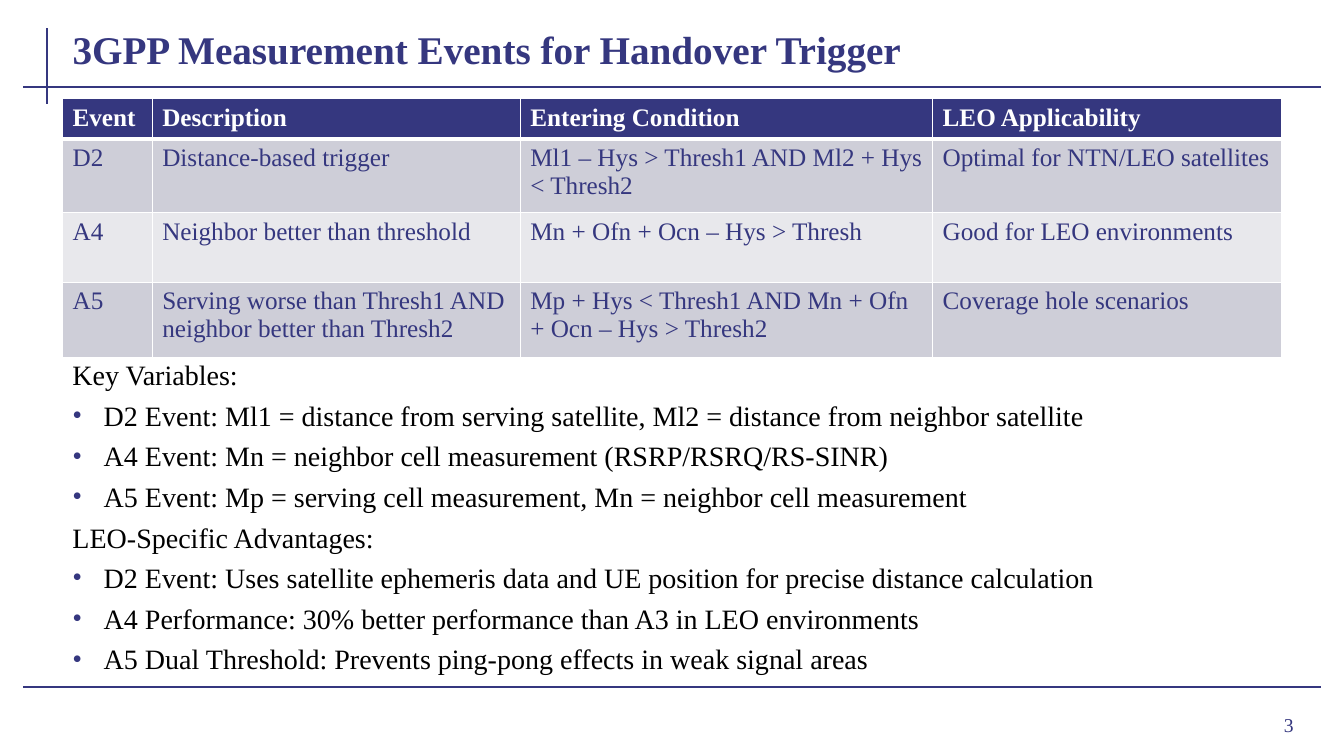
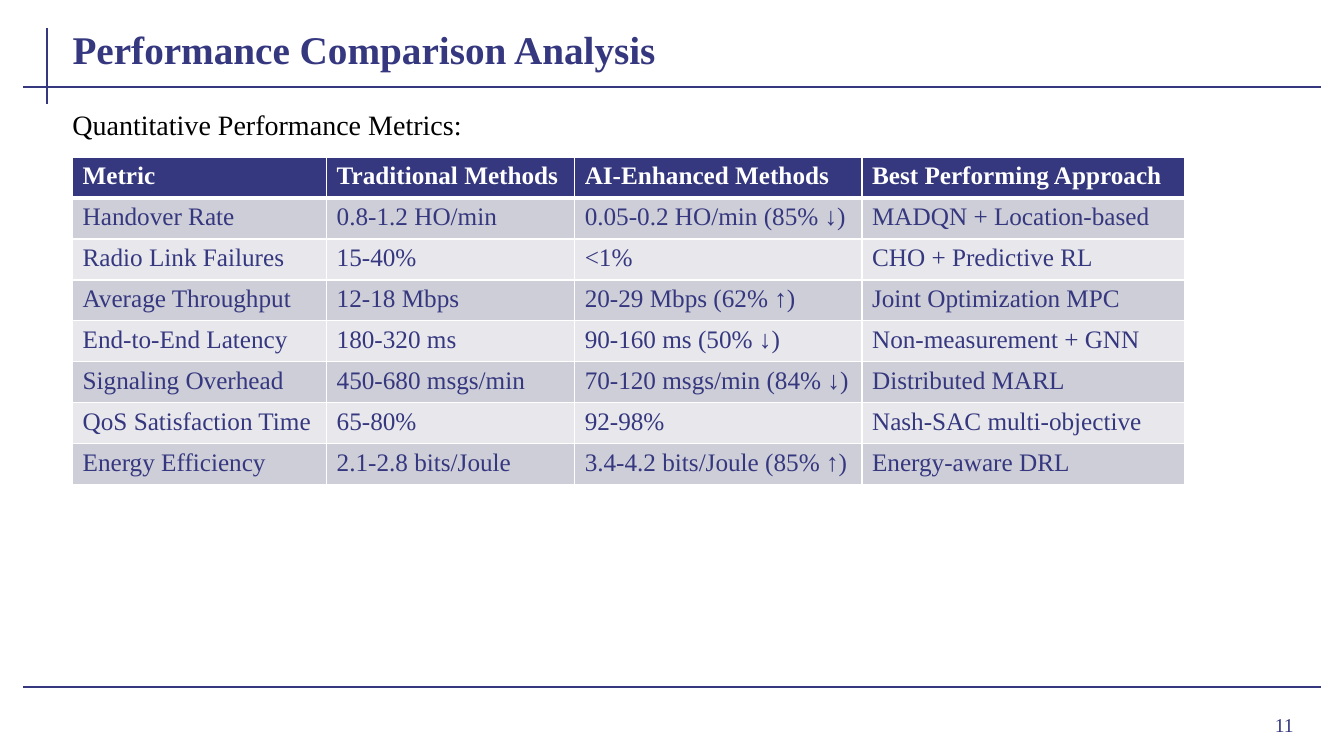
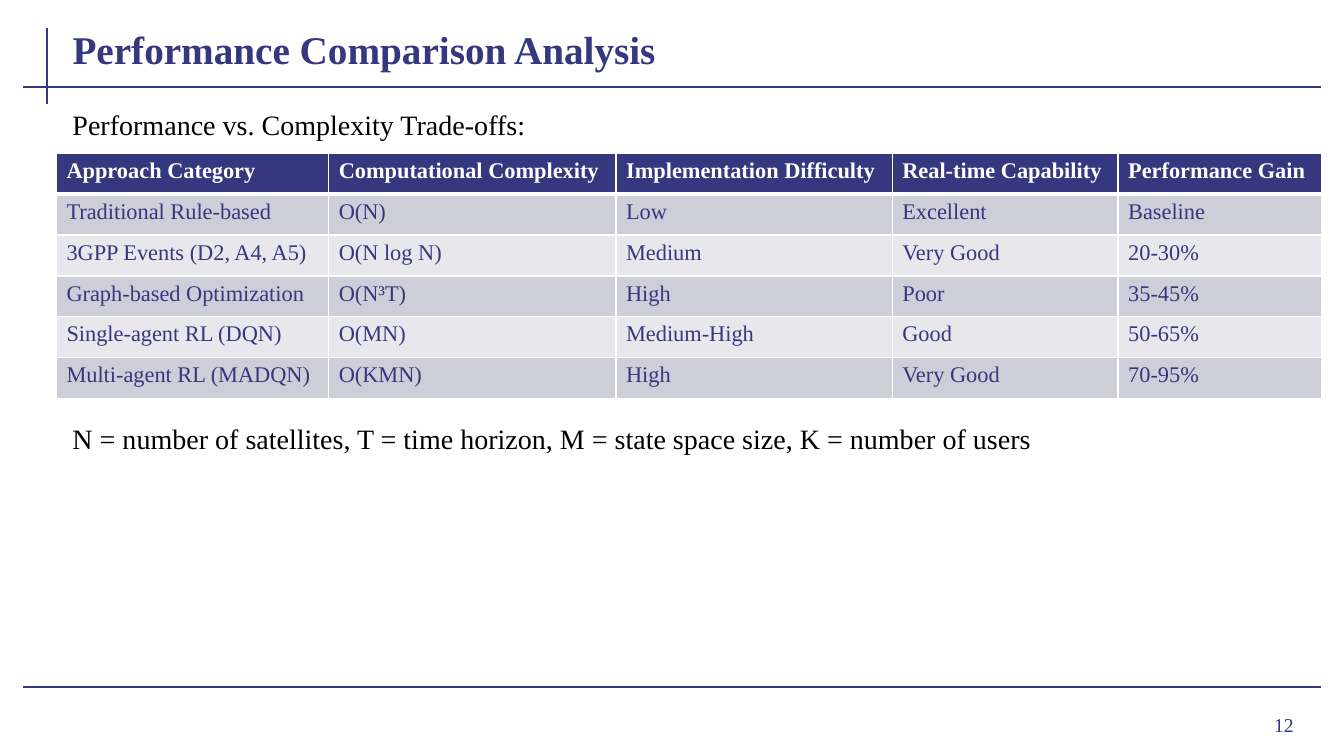
from pptx import Presentation
from pptx.dml.color import RGBColor
from pptx.enum.shapes import MSO_CONNECTOR as Connector
from pptx.enum.text import MSO_ANCHOR as Anchor, MSO_AUTO_SIZE as AutoSize, PP_ALIGN as Align
from pptx.oxml.ns import qn
from pptx.util import Inches, Pt
from lxml.etree import SubElement

FONT = "Times New Roman"
NAVY, WHITE, BLACK = "35377F", "FFFFFF", "000000"
BANDS = ("CECED8", "E8E8EC")
TITLE_ONLY = 5
LEFT, WIDTH = 6.2, 124.9


def color(hex_string):
    return RGBColor.from_string(hex_string)


def grid(units):
    """Turn grid columns or rows, ten to the inch, into a length."""
    return Inches(units / 10)


def add_border(cell, position, side, points):
    line = SubElement(cell._tc.get_or_add_tcPr(), qn(f"a:ln{side}"), w=str(Pt(points)))
    fill = SubElement(line, qn("a:solidFill"))
    SubElement(fill, qn("a:srgbClr"), val=WHITE)
    cell._tc.tcPr.insert(position, line)


def add_bullet(paragraph):
    properties = paragraph._p.get_or_add_pPr()
    properties.set("marL", str(Inches(0.31)))
    properties.set("indent", str(-Inches(0.31)))
    bullet_color = SubElement(properties, qn("a:buClr"))
    SubElement(bullet_color, qn("a:srgbClr"), val=NAVY)
    SubElement(properties, qn("a:buFont"), typeface=FONT)
    SubElement(properties, qn("a:buChar"), char="•")


class Deck:
    def __init__(self):
        self.presentation = Presentation()
        self.presentation.slide_width = Inches(13.33)
        self.presentation.slide_height = Inches(7.5)
        self.slide = None

    def style(self, paragraph, size, hex_string, bold=False):
        font = paragraph.font
        font.name, font.size, font.bold = FONT, Pt(size), bold
        font.color.rgb = color(hex_string)

    def start(self, title, number):
        """Add a slide with its title, rules and page number."""
        layout = self.presentation.slide_layouts[TITLE_ONLY]
        self.slide = self.presentation.slides.add_slide(layout)
        self.rule(4.7, 2.8, 4.7, 10.3)
        for row in (8.6, 68.2):
            self.rule(2.3, row, 131, row)
        self.title(title)
        frame = self.text(119.6, 69.3, 9.7, 5.2, [str(number)], 14, NAVY)
        frame.vertical_anchor = Anchor.MIDDLE
        frame.paragraphs[0].alignment = Align.RIGHT

    def title(self, text):
        shape = self.slide.shapes.title
        shape.left, shape.top = grid(LEFT), grid(1.5)
        shape.width, shape.height = grid(WIDTH), grid(6.2)
        frame = shape.text_frame
        frame.text = text
        frame.auto_size, frame.vertical_anchor = AutoSize.NONE, Anchor.BOTTOM
        frame.paragraphs[0].alignment = Align.LEFT
        self.style(frame.paragraphs[0], 28, NAVY, bold=True)

    def rule(self, *ends):
        line = self.slide.shapes.add_connector(Connector.STRAIGHT, *map(grid, ends))
        line.line.color.rgb = color(NAVY)
        line.line.width = Pt(1.5)
        SubElement(line._element.spPr, qn("a:effectLst"))

    def text(self, left, top, width, height, lines, size=20, hex_string=BLACK):
        """Add a text box; lines that start with a bullet sign become list items."""
        box = self.slide.shapes.add_textbox(*map(grid, (left, top, width, height)))
        frame = box.text_frame
        frame.word_wrap = True
        for index, line in enumerate(lines):
            paragraph = frame.add_paragraph() if index else frame.paragraphs[0]
            paragraph.text = line.removeprefix("• ")
            paragraph.space_before = Pt(5 if index else 0)
            if line.startswith("• "):
                add_bullet(paragraph)
            self.style(paragraph, size, hex_string)
        return frame

    def body(self, top, lines):
        self.text(LEFT, top, WIDTH, 4 * len(lines) + 1, lines)

    def table(self, left, top, columns, rows, cells, size=18):
        """Add a table with a navy header and banded rows."""
        frame = self.slide.shapes.add_table(
            len(rows), len(columns), grid(left), grid(top), grid(sum(columns)), grid(sum(rows)))
        table = frame.table
        for column, width in zip(table.columns, columns):
            column.width = grid(width)
        for index, (row, height, texts) in enumerate(zip(table.rows, rows, cells)):
            row.height = grid(height)
            header = index == 0
            for cell, text in zip(row.cells, texts):
                cell.text = text
                cell.fill.solid()
                cell.fill.fore_color.rgb = color(NAVY if header else BANDS[(index - 1) % 2])
                self.style(cell.text_frame.paragraphs[0], size, WHITE if header else NAVY, header)
                widths = {"L": 1, "R": 1, "T": 3 if index == 1 else 1, "B": 3 if header else 1}
                for position, (side, points) in enumerate(widths.items()):
                    add_border(cell, position, side, points)


def measurement_events(deck):
    deck.start("3GPP Measurement Events for Handover Trigger", 3)
    deck.body(35, [
        "Key Variables:",
        "• D2 Event: Ml1 = distance from serving satellite, Ml2 = distance from neighbor satellite",
        "• A4 Event: Mn = neighbor cell measurement (RSRP/RSRQ/RS-SINR)",
        "• A5 Event: Mp = serving cell measurement, Mn = neighbor cell measurement",
        "LEO-Specific Advantages:",
        "• D2 Event: Uses satellite ephemeris data and UE position for precise distance calculation",
        "• A4 Performance: 30% better performance than A3 in LEO environments",
        "• A5 Dual Threshold: Prevents ping-pong effects in weak signal areas",
    ])
    deck.table(LEFT, 9.8, [8.9, 36.5, 40.9, 34.6], [4, 7.3, 6.9, 7.5], [
        ("Event", "Description", "Entering Condition", "LEO Applicability"),
        ("D2", "Distance-based trigger", "Ml1 – Hys > Thresh1 AND Ml2 + Hys < Thresh2",
         "Optimal for NTN/LEO satellites"),
        ("A4", "Neighbor better than threshold", "Mn + Ofn + Ocn – Hys > Thresh",
         "Good for LEO environments"),
        ("A5", "Serving worse than Thresh1 AND neighbor better than Thresh2",
         "Mp + Hys < Thresh1 AND Mn + Ofn + Ocn – Hys > Thresh2", "Coverage hole scenarios"),
    ])


def performance_metrics(deck):
    deck.start("Performance Comparison Analysis", 11)
    deck.body(10.2, ["Quantitative Performance Metrics:"])
    deck.table(7.2, 15.6, [25.2, 24.6, 28.5, 32], [4.06] * 8, [
        ("Metric", "Traditional Methods", "AI-Enhanced Methods", "Best Performing Approach"),
        ("Handover Rate", "0.8-1.2 HO/min", "0.05-0.2 HO/min (85% ↓)", "MADQN + Location-based"),
        ("Radio Link Failures", "15-40%", "<1%", "CHO + Predictive RL"),
        ("Average Throughput", "12-18 Mbps", "20-29 Mbps (62% ↑)", "Joint Optimization MPC"),
        ("End-to-End Latency", "180-320 ms", "90-160 ms (50% ↓)", "Non-measurement + GNN"),
        ("Signaling Overhead", "450-680 msgs/min", "70-120 msgs/min (84% ↓)", "Distributed MARL"),
        ("QoS Satisfaction Time", "65-80%", "92-98%", "Nash-SAC multi-objective"),
        ("Energy Efficiency", "2.1-2.8 bits/Joule", "3.4-4.2 bits/Joule (85% ↑)", "Energy-aware DRL"),
    ])


def complexity_tradeoffs(deck):
    deck.start("Performance Comparison Analysis", 12)
    deck.body(10.2, ["Performance vs. Complexity Trade-offs:"])
    deck.body(41.3, [
        "N = number of satellites, T = time horizon, M = state space size, K = number of users"])
    deck.table(5.6, 15.2, [27, 28.5, 27.4, 22.4, 20.2], [4.06] * 6, [
        ("Approach Category", "Computational Complexity", "Implementation Difficulty",
         "Real-time Capability", "Performance Gain"),
        ("Traditional Rule-based", "O(N)", "Low", "Excellent", "Baseline"),
        ("3GPP Events (D2, A4, A5)", "O(N log N)", "Medium", "Very Good", "20-30%"),
        ("Graph-based Optimization", "O(N³T)", "High", "Poor", "35-45%"),
        ("Single-agent RL (DQN)", "O(MN)", "Medium-High", "Good", "50-65%"),
        ("Multi-agent RL (MADQN)", "O(KMN)", "High", "Very Good", "70-95%"),
    ], size=16)


def main():
    deck = Deck()
    for build in (measurement_events, performance_metrics, complexity_tradeoffs):
        build(deck)
    deck.presentation.save("out.pptx")


if __name__ == "__main__":
    main()
